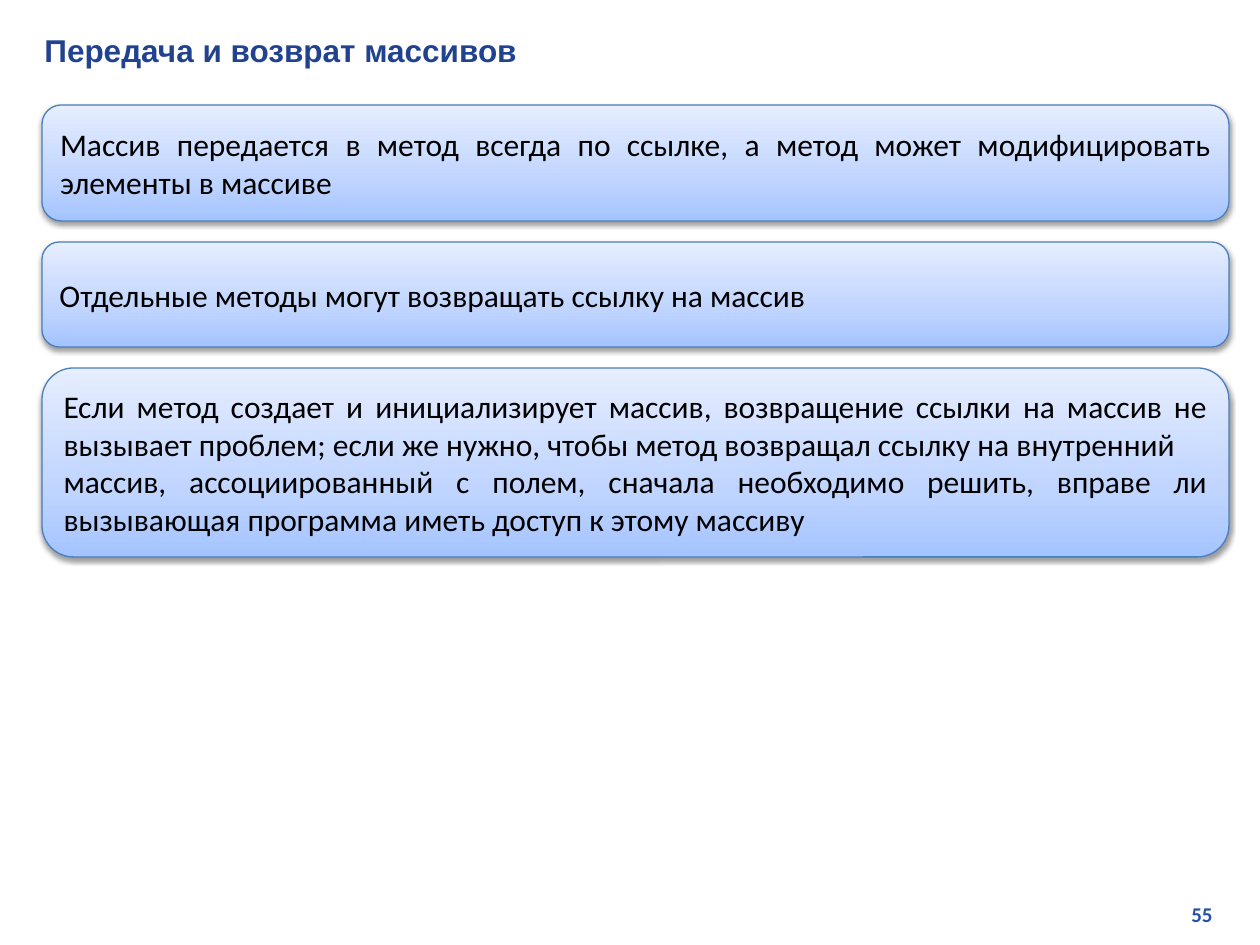
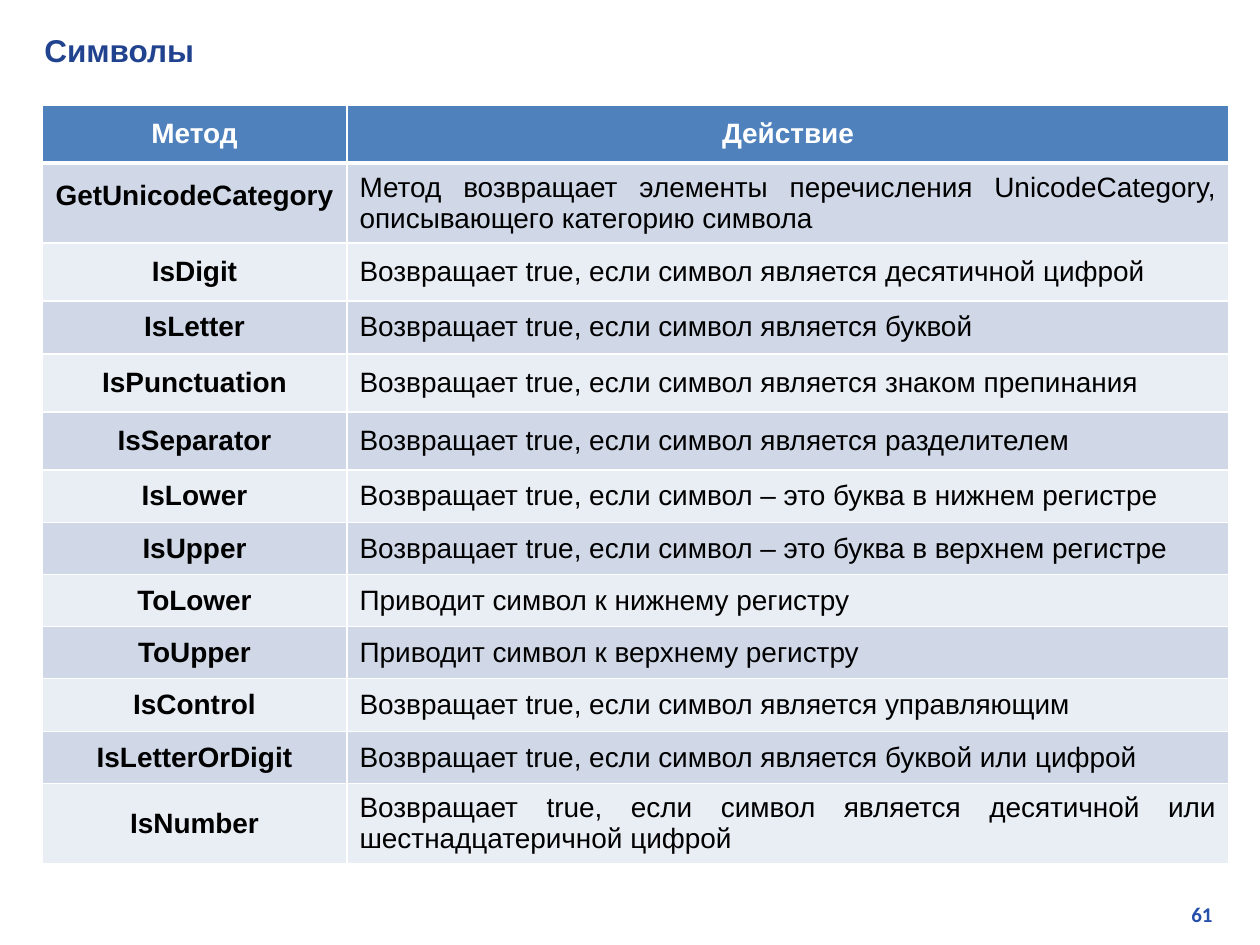
from lxml.etree import SubElement
from pptx import Presentation
from pptx.dml.color import RGBColor
from pptx.enum.shapes import MSO_SHAPE
from pptx.enum.text import MSO_ANCHOR, PP_ALIGN as ALIGN
from pptx.oxml import parse_xml
from pptx.oxml.ns import nsdecls, qn
from pptx.util import Pt

# Content
NOTES = [
    (116, ["Массив передается в метод всегда по ссылке, а метод может "
           "модифицировать элементы в массиве"]),
    (105, ["Отдельные методы могут возвращать ссылку на массив"]),
    (189, ["Если метод создает и инициализирует массив, возвращение ссылки на "
           "массив не вызывает проблем; если же нужно, чтобы метод возвращал "
           "ссылку на внутренний",
           "массив, ассоциированный с полем, сначала необходимо решить, вправе "
           "ли вызывающая программа иметь доступ к этому массиву"]),
]
METHODS = [
    (58, "Метод", "Действие"),
    (75, "GetUnicodeCategory", "Метод возвращает элементы перечисления "
     "UnicodeCategory, описывающего категорию символа"),
    (58, "IsDigit", "Возвращает true, если символ является десятичной цифрой"),
    (53, "IsLetter", "Возвращает true, если символ является буквой"),
    (58, "IsPunctuation", "Возвращает true, если символ является знаком препинания"),
    (58, "IsSeparator", "Возвращает true, если символ является разделителем"),
    (53, "IsLower", "Возвращает true, если символ – это буква в нижнем регистре"),
    (52, "IsUpper", "Возвращает true, если символ – это буква в верхнем регистре"),
    (52, "ToLower", "Приводит символ к нижнему регистру"),
    (52, "ToUpper", "Приводит символ к верхнему регистру"),
    (53, "IsControl", "Возвращает true, если символ является управляющим"),
    (52, "IsLetterOrDigit", "Возвращает true, если символ является буквой или цифрой"),
    (75, "IsNumber", "Возвращает true, если символ является десятичной или "
     "шестнадцатеричной цифрой"),
]

# Shared style
NAVY = RGBColor(0x21, 0x43, 0x8F)
BLUE = RGBColor(0x27, 0x50, 0xAB)
EDGE = RGBColor(0x4B, 0x7E, 0xBC)
HEAD = RGBColor(0x4F, 0x81, 0xBD)
BANDS = RGBColor(0xE9, 0xED, 0xF4), RGBColor(0xD0, 0xD8, 0xE8)
BLACK = RGBColor(0, 0, 0)
WHITE = RGBColor(255, 255, 255)
GRADE = [(0, RGBColor(0xA4, 0xC4, 0xFF)), (35, RGBColor(0xBF, 0xD4, 0xFF)),
         (100, RGBColor(0xE6, 0xEE, 0xFF))]
LEFT, TOP, WIDTH, GAP = 42, 105, 1187, 21
COLS = 305, 882


def px(n):
    return round(n * 914400 / 126)


def style(frame, face, size, color, bold=False, align=ALIGN.LEFT):
    for para in frame.paragraphs:
        para.alignment = align
        for run in para.runs:
            font = run.font
            font.name, font.size, font.bold = face, Pt(size), bold
            font.color.rgb = color


def add_text(slide, box, text, *look):
    frame = slide.shapes.add_textbox(*map(px, box)).text_frame
    frame.word_wrap = True
    frame.text = text
    style(frame, *look)


def add_page(deck, title, number):
    slide = deck.slides.add_slide(deck.slide_layouts[6])
    add_text(slide, (958, 895, 267, 38), number, "Calibri", 12, BLUE, True, ALIGN.RIGHT)
    add_text(slide, (32, 25, 1202, 50), title, "Arial", 18, NAVY, True)
    return slide


def add_note(slide, top, height, lines):
    note = slide.shapes.add_shape(MSO_SHAPE.ROUNDED_RECTANGLE,
                                  *map(px, (LEFT, top, WIDTH, height)))
    note.line.color.rgb = EDGE
    note.line.width = Pt(0.75)
    # Gradient from bottom to top, placed after the geometry
    stops = "".join(f'<a:gs pos="{pos * 1000}"><a:srgbClr val="{color}"/></a:gs>'
                    for pos, color in GRADE)
    props = note._element.spPr
    props.insert(2, parse_xml(f'<a:gradFill {nsdecls("a")} rotWithShape="1"><a:gsLst>{stops}'
                              '</a:gsLst><a:lin ang="16200000" scaled="0"/></a:gradFill>'))
    # Soft shadow below
    note.shadow.inherit = False
    shade = SubElement(props.find(qn("a:effectLst")), qn("a:outerShdw"), blurRad="40000",
                       dist="20000", dir="5400000", rotWithShape="0")
    tint = SubElement(shade, qn("a:srgbClr"), val="000000")
    SubElement(tint, qn("a:alpha"), val="38000")
    frame = note.text_frame
    frame.vertical_anchor = MSO_ANCHOR.MIDDLE
    frame.text = "\n".join(lines)
    style(frame, "Calibri", 18, BLACK, align=ALIGN.JUSTIFY)


def set_edges(cell, row):
    props = cell._tc.get_or_add_tcPr()
    thick = {"T": row == 1, "B": row == 0}
    for spot, side in enumerate("LRTB"):
        width = Pt(3 if thick.get(side) else 1)
        props.insert(spot, parse_xml(
            f'<a:ln{side} {nsdecls("a")} w="{width}"><a:solidFill>'
            f'<a:srgbClr val="{WHITE}"/></a:solidFill></a:ln{side}>'))


def add_grid(slide, rows):
    high = sum(row[0] for row in rows)
    grid = slide.shapes.add_table(len(rows), len(COLS),
                                  *map(px, (LEFT, TOP, WIDTH, high))).table
    for col, width in zip(grid.columns, COLS):
        col.width = px(width)
    for r, (height, *texts) in enumerate(rows):
        grid.rows[r].height = px(height)
        for c, text in enumerate(texts):
            cell = grid.cell(r, c)
            cell.text = text
            cell.vertical_anchor = MSO_ANCHOR.MIDDLE
            cell.fill.solid()
            cell.fill.fore_color.rgb = BANDS[r % 2] if r else HEAD
            mid = r == 0 or c == 0
            style(cell.text_frame, "Arial", 16, BLACK if r else WHITE, mid,
                  ALIGN.CENTER if mid else ALIGN.JUSTIFY)
            set_edges(cell, r)
    # The longest name has tight margins and lines
    cell = grid.cell(1, 0)
    cell.margin_left = cell.margin_right = px(9)
    cell.margin_top = cell.margin_bottom = 0
    para = cell.text_frame.paragraphs[0]
    para.line_spacing = Pt(10)
    para.space_before = para.space_after = Pt(2)


def main():
    deck = Presentation()
    deck.slide_width, deck.slide_height = px(1260), px(945)

    # Stacked notes
    slide = add_page(deck, "Передача и возврат массивов", "55")
    top = TOP
    for height, lines in NOTES:
        add_note(slide, top, height, lines)
        top += height + GAP

    # Table of methods
    add_grid(add_page(deck, "Символы", "61"), METHODS)
    deck.save("out.pptx")


if __name__ == "__main__":
    main()
